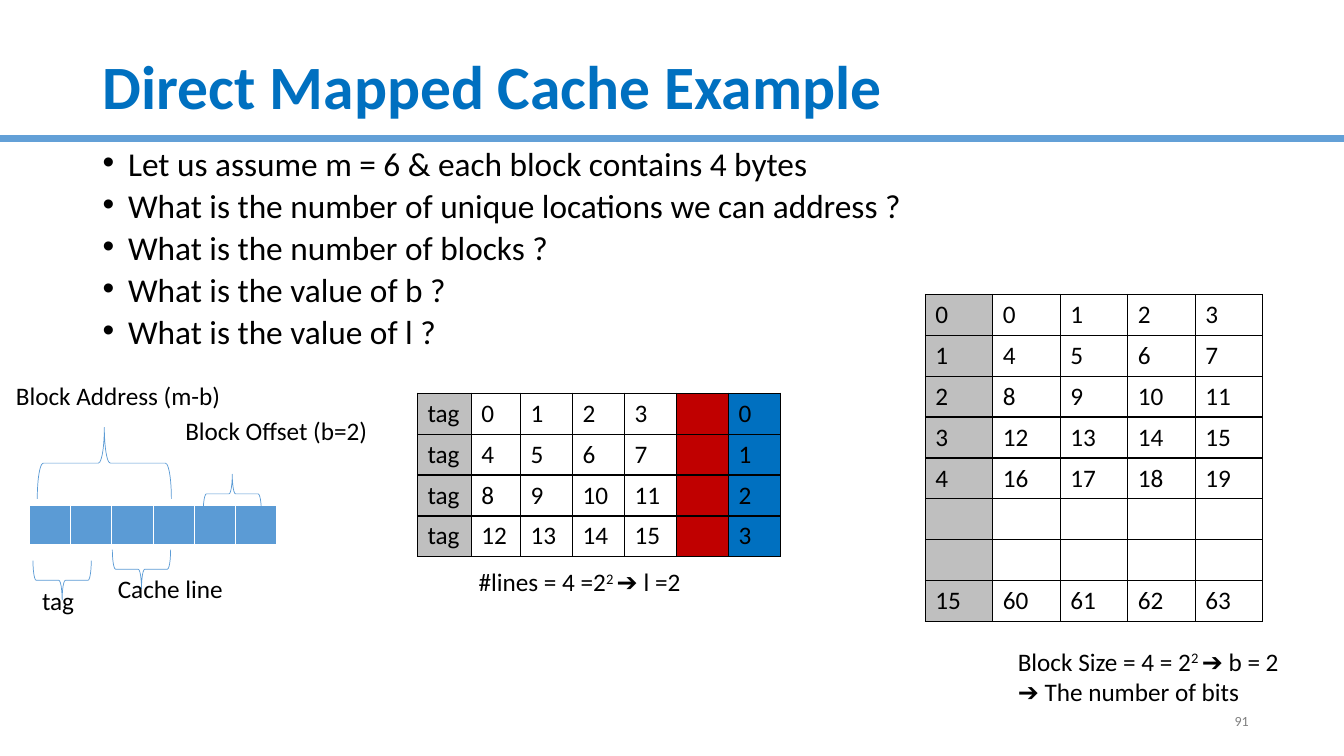
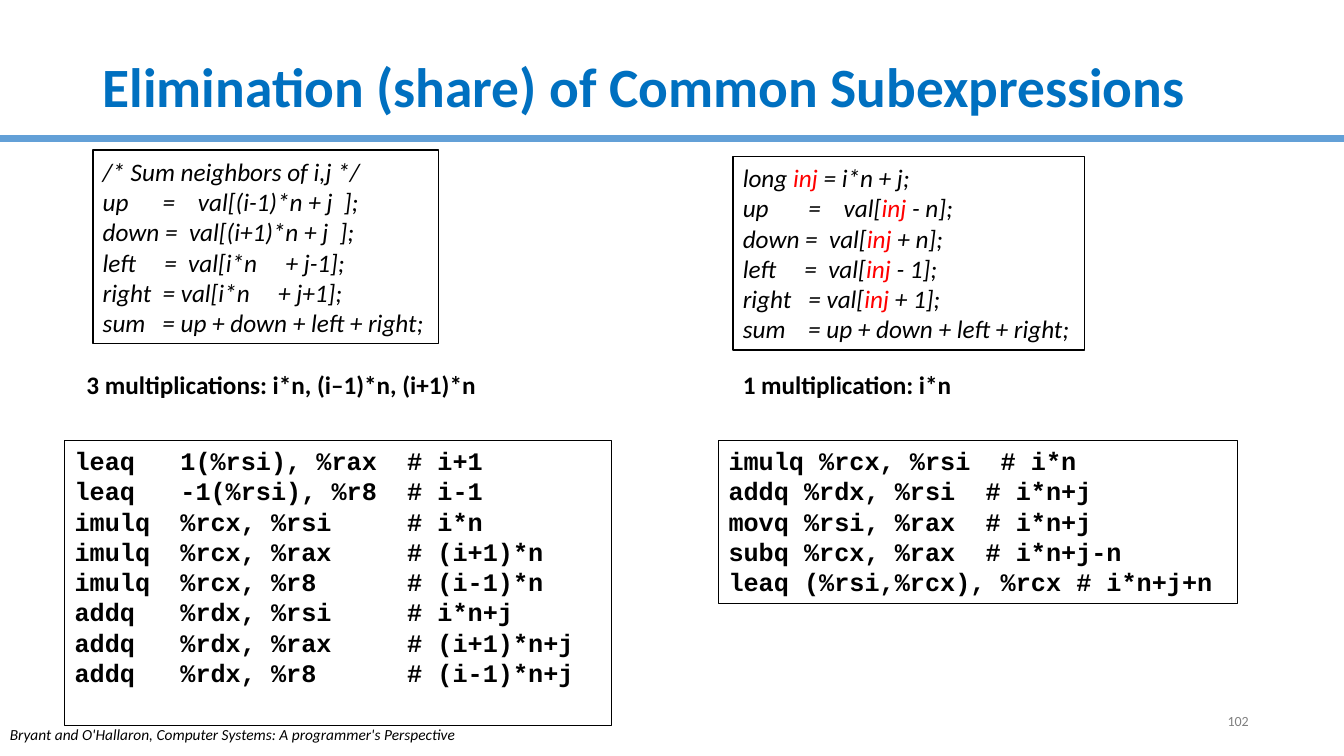
from lxml import etree
from pptx import Presentation
from pptx import util as u
from pptx.dml.color import RGBColor
from pptx.enum import shapes, text
from pptx.oxml.ns import qn

Cm, Pt = u.Cm, u.Pt

COLORS = {
    "title": "0070C0", "band": "63A0D7", "ink": "000000", "number": "808080",
    "accent": "FF0000", "paper": "FFFFFF", "gray": "BFBFBF", "red": "C00000",
    "blue": "0070C0", "address": "5B9BD5",
}
ROW_HEIGHT = 1.03
LABEL_HEIGHT = 1.02
CODE_HEIGHT = 4.88
BLOCK = 4

# Text between bars is special: superscript or accent colour.
QUESTIONS = [
    "Let us assume m = 6 & each block contains 4 bytes",
    "What is the number of unique locations we can address ?",
    "What is the number of blocks ?",
    "What is the value of b ?",
    "What is the value of l ?",
]


def block_bytes(block):
    return list(range(block * BLOCK, (block + 1) * BLOCK))


MEMORY = [[block, *block_bytes(block)] for block in range(5)]
MEMORY += [[""] * 5, [""] * 5, [15, *block_bytes(15)]]
CACHE = [["tag", *block_bytes(line), "", line] for line in range(4)]
ADDRESS = [[""] * 6]

# left, top, width, lines
CACHE_LABELS = [
    (4.42, 10.34, 5.16, ["Block Offset (b=2)"]),
    (0.15, 9.47, 5.72, ["Block Address (m-b)"]),
    (11.81, 14.15, 6.02, ["#lines = 4 =2|2 |➔ l =2"]),
    (2.72, 14.33, 3.2, ["Cache line"]),
    (0.81, 14.63, 1.32, ["tag"]),
    (25.4, 16.15, 7.54, ["Block Size = 4 = 2|2 |➔ b = 2", "➔ The number of bits"]),
]
# left, top, width, height, rotation
BRACES = [
    (1.73, 9.98, 1.8, 3.38, 270),
    (5.36, 11.71, 0.99, 1.47, 270),
    (3.07, 13.61, 0.99, 1.47, 90),
    (1.07, 13.89, 0.99, 1.47, 90),
]

SOURCE_BEFORE = [
    "/* Sum neighbors of i,j */",
    "up      =    val[(i-1)*n + j  ];",
    "down =  val[(i+1)*n + j  ];",
    "left     =  val[i*n     + j-1];",
    "right  = val[i*n     + j+1];",
    "sum   = up + down + left + right;",
]
SOURCE_AFTER = [
    "long |inj| = i*n + j;",
    "up       =    val[|inj| - n];",
    "down =  val[|inj| + n];",
    "left     =  val[|inj| - 1];",
    "right   = val[|inj| + 1];",
    "sum    = up + down + left + right;",
]
ASSEMBLY_BEFORE = [
    "leaq   1(%rsi), %rax  # i+1",
    "leaq   -1(%rsi), %r8  # i-1",
    "imulq  %rcx, %rsi     # i*n",
    "imulq  %rcx, %rax     # (i+1)*n",
    "imulq  %rcx, %r8      # (i-1)*n",
    "addq   %rdx, %rsi     # i*n+j",
    "addq   %rdx, %rax     # (i+1)*n+j",
    "addq   %rdx, %r8      # (i-1)*n+j",
]
ASSEMBLY_AFTER = [
    "imulq %rcx, %rsi  # i*n",
    "addq %rdx, %rsi  # i*n+j",
    "movq %rsi, %rax  # i*n+j",
    "subq %rcx, %rax  # i*n+j-n",
    "leaq (%rsi,%rcx), %rcx # i*n+j+n",
]
COUNTS = [
    (1.93, 9.19, 11.68, ["3 multiplications: i*n, (i–1)*n, (i+1)*n"]),
    (18.47, 9.19, 7.62, ["1 multiplication: i*n"]),
]
CITATION = "Bryant and O'Hallaron, Computer Systems: A programmer's Perspective"


def rgb(name):
    return RGBColor.from_string(COLORS[name])


def style(para, size=18, color="ink", name="Calibri", bold=False, italic=False):
    font = para.font
    font.size, font.name, font.bold, font.italic = Pt(size), name, bold, italic
    font.color.rgb = rgb(color)


def add_bullet(para):
    props = para._p.get_or_add_pPr()
    props.set("marL", str(Cm(0.64)))
    props.set("indent", str(-Cm(0.64)))
    etree.SubElement(props, qn("a:buFont")).set("typeface", "Arial")
    etree.SubElement(props, qn("a:buChar")).set("char", "•")


def write(frame, lines, special="superscript", bullets=False,
          align=text.PP_ALIGN.LEFT, **look):
    """Fill a text frame, one paragraph a line; bars enclose special text."""
    for index, line in enumerate(lines):
        para = frame.add_paragraph() if index else frame.paragraphs[0]
        if bullets:
            add_bullet(para)
            para.line_spacing = 0.7
            para.space_before = Pt(10 if index else 0)
        para.alignment = align
        style(para, **look)
        for position, piece in enumerate(line.split("|")):
            span = para.add_run()
            span.text = piece
            if position % 2 and special == "superscript":
                span._r.get_or_add_rPr().set("baseline", "30000")
            elif position % 2:
                span.font.color.rgb = rgb(special)


def add_text(slide, left, top, width, height, lines, wrap=True,
             anchor=text.MSO_ANCHOR.TOP, **look):
    box = slide.shapes.add_textbox(Cm(left), Cm(top), Cm(width), Cm(height))
    box.text_frame.word_wrap = wrap
    box.text_frame.vertical_anchor = anchor
    write(box.text_frame, lines, **look)
    return box


def add_labels(slide, labels, **look):
    for left, top, width, lines in labels:
        add_text(slide, left, top, width, LABEL_HEIGHT, lines, wrap=False, **look)


def add_framed_code(slide, left, top, width, height, lines, line_width, **look):
    box = add_text(slide, left, top, width, height, lines, **look)
    box.line.color.rgb = rgb("ink")
    box.line.width = Pt(line_width)


def add_brace(slide, left, top, width, height, rotation):
    brace = slide.shapes.add_shape(
        shapes.MSO_SHAPE.RIGHT_BRACE, Cm(left), Cm(top), Cm(width), Cm(height))
    brace.rotation = rotation
    brace.shadow.inherit = False
    brace.fill.background()
    brace.line.color.rgb = rgb("address")
    brace.line.width = Pt(0.5)


def set_borders(cell, color, bottom):
    props = cell._tc.get_or_add_tcPr()
    for index, (side, width) in enumerate(zip("LRTB", (1, 1, 1, bottom))):
        edge = etree.Element(qn("a:ln" + side), w=str(Pt(width)))
        fill = etree.SubElement(edge, qn("a:solidFill"))
        etree.SubElement(fill, qn("a:srgbClr")).set("val", COLORS[color])
        props.insert(index, edge)


def add_grid(slide, left, top, widths, rows, fills, border="ink", bottom=1):
    """Add a table; fills names one colour for each column."""
    frame = slide.shapes.add_table(
        len(rows), len(widths), Cm(left), Cm(top),
        Cm(sum(widths)), Cm(ROW_HEIGHT * len(rows)))
    table = frame.table
    table.first_row = table.horz_banding = False
    for column, width in zip(table.columns, widths):
        column.width = Cm(width)
    for row, values in zip(table.rows, rows):
        row.height = Cm(ROW_HEIGHT)
        for cell, value, fill in zip(row.cells, values, fills):
            cell.fill.solid()
            cell.fill.fore_color.rgb = rgb(fill)
            set_borders(cell, border, bottom)
            if value == "":
                style(cell.text_frame.paragraphs[0])
            else:
                write(cell.text_frame, [str(value)])


def add_slide(deck, title, title_size, number):
    """Add a slide with the shared band, title and slide number."""
    slide = deck.slides.add_slide(deck.slide_layouts[6])
    band = slide.shapes.add_connector(
        shapes.MSO_CONNECTOR.STRAIGHT, 0, Cm(3.5), deck.slide_width, Cm(3.5))
    band.line.color.rgb = rgb("band")
    band.line.width = Pt(5)
    etree.SubElement(band._element.spPr, qn("a:effectLst"))
    middle = text.MSO_ANCHOR.MIDDLE
    heading = add_text(slide, 2.34, 1.02, 29.21, 2.49, [title], anchor=middle,
                       size=title_size, color="title", bold=True)
    heading.text_frame.paragraphs[0].line_spacing = 0.9
    add_text(slide, 24.1, 17.65, 7.62, LABEL_HEIGHT, [str(number)], anchor=middle,
             align=text.PP_ALIGN.RIGHT, size=10, color="number")
    return slide


def build_cache_slide(deck):
    slide = add_slide(deck, "Direct Mapped Cache Example", 44, 91)
    add_text(slide, 2.34, 3.76, 26.16, 5.41, QUESTIONS, bullets=True, size=23.8)
    add_grid(slide, 23.32, 7.42, [1.7] * 5, MEMORY, ["gray"] + ["paper"] * 4)
    add_grid(slide, 0.74, 12.73, [1.04] * 6, ADDRESS, ["address"] * 6,
             border="paper", bottom=3)
    add_grid(slide, 10.52, 9.91, [1.36, 1.24] + [1.31] * 5, CACHE,
             ["gray"] + ["paper"] * 4 + ["red", "blue"])
    for brace in BRACES:
        add_brace(slide, *brace)
    add_labels(slide, CACHE_LABELS)


def build_subexpression_slide(deck):
    slide = add_slide(deck, "Elimination (share) of Common Subexpressions", 39.6, 102)
    source = dict(line_width=1, italic=True, special="accent",
                  anchor=text.MSO_ANCHOR.MIDDLE)
    add_framed_code(slide, 2.34, 3.78, 8.71, CODE_HEIGHT, SOURCE_BEFORE, **source)
    add_framed_code(slide, 18.47, 3.94, 8.86, CODE_HEIGHT, SOURCE_AFTER, **source)
    add_labels(slide, COUNTS, bold=True)
    assembly = dict(line_width=0.75, name="Courier New", bold=True)
    add_framed_code(slide, 1.63, 11.1, 13.79, 7.19, ASSEMBLY_BEFORE, **assembly)
    add_framed_code(slide, 18.11, 11.1, 13.08, 4.11, ASSEMBLY_AFTER, **assembly)
    add_text(slide, 0, 18.16, 11.76, 0.74, [CITATION], wrap=False, size=11, italic=True)


def main():
    deck = Presentation()
    deck.slide_width, deck.slide_height = Cm(33.87), Cm(19.05)
    build_cache_slide(deck)
    build_subexpression_slide(deck)
    deck.save("out.pptx")


if __name__ == "__main__":
    main()
